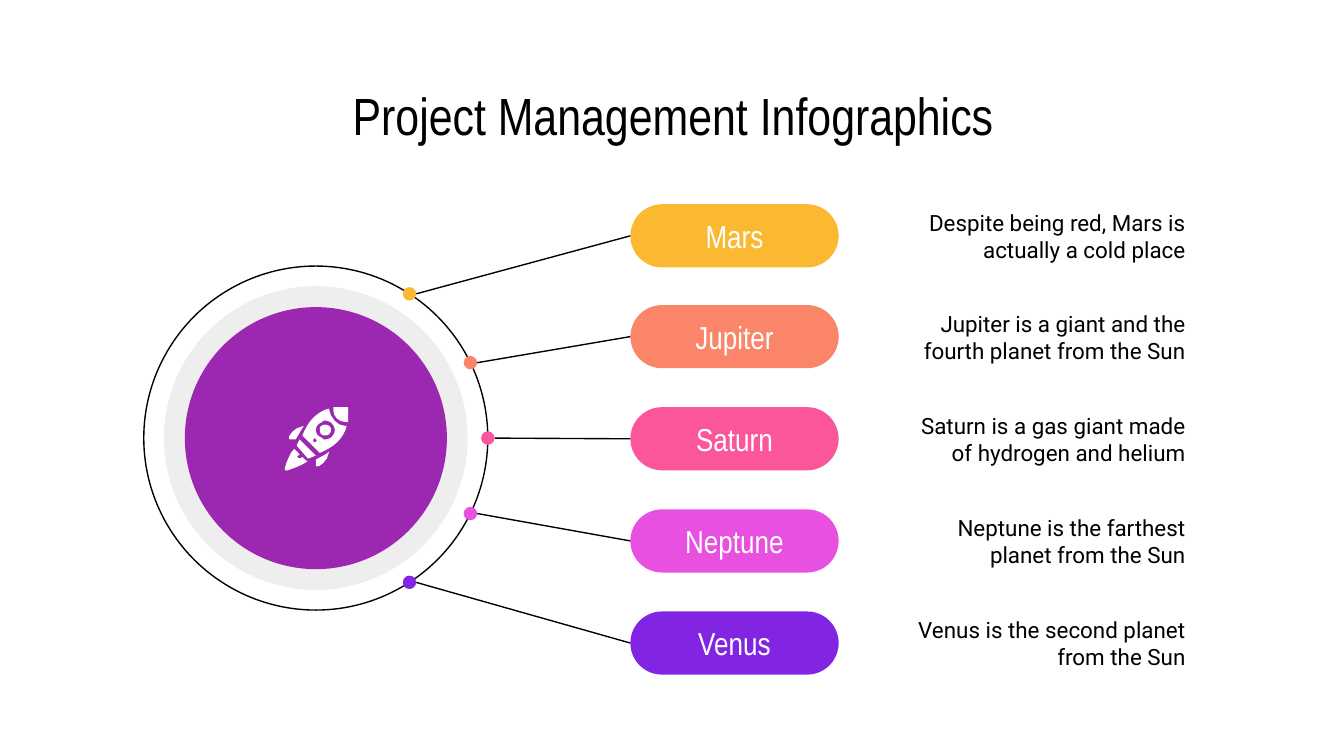
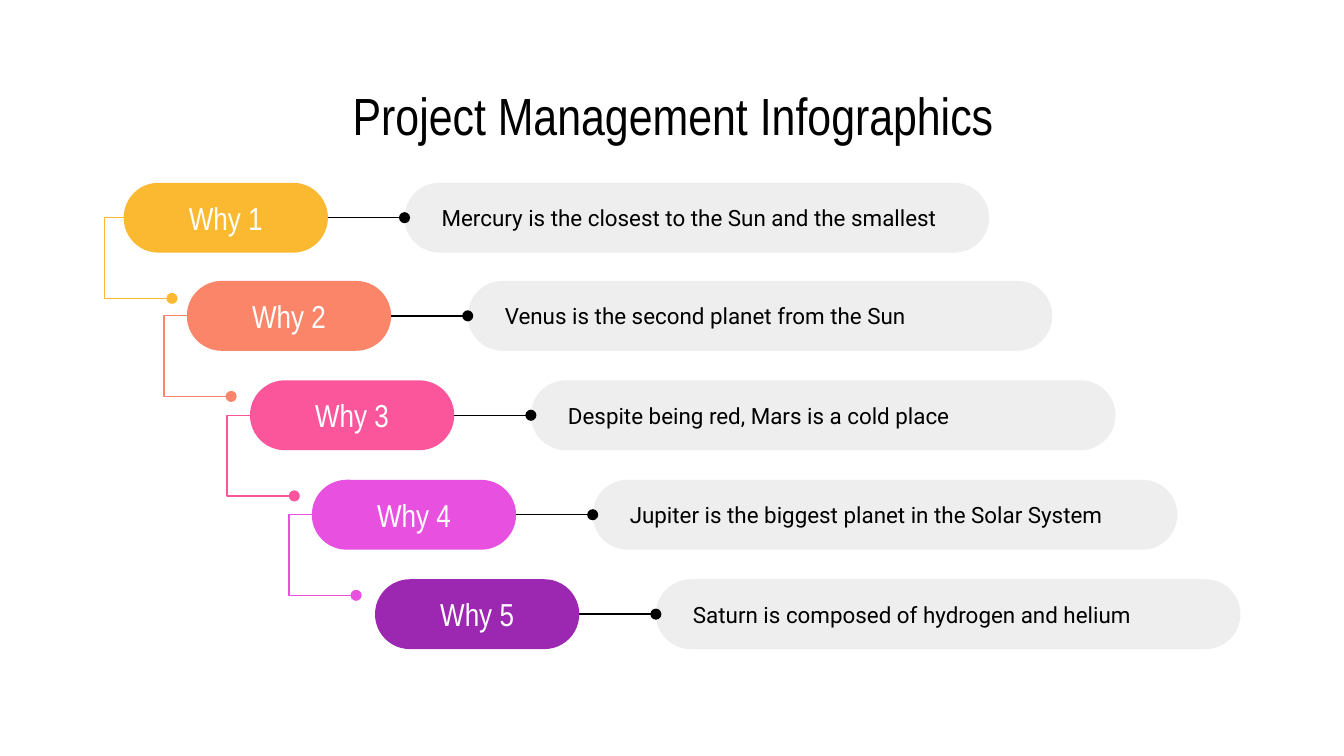
from math import cos, radians, sin

from lxml.etree import SubElement
from pptx import Presentation
from pptx.dml.color import RGBColor as Rgb
from pptx.enum.shapes import MSO_CONNECTOR as Link, MSO_SHAPE as Kind
from pptx.enum.text import MSO_ANCHOR as Anchor, PP_ALIGN as Align
from pptx.oxml.ns import qn
from pptx.util import Pt

PX = 9144
WIDE = 1000
HEAD, BODY = "Arial Narrow", "Roboto"
BLACK, WHITE = Rgb(0, 0, 0), Rgb(255, 255, 255)
GRAY = Rgb(0xEE, 0xEE, 0xEE)
GOLD = Rgb(0xFB, 0xB8, 0x31)
CORAL = Rgb(0xFB, 0x85, 0x69)
ROSE = Rgb(0xFB, 0x56, 0x9C)
PINK = Rgb(0xE8, 0x50, 0xE0)
VIOLET = Rgb(0x82, 0x25, 0xE2)
PURPLE = Rgb(0x9C, 0x27, 0xB0)
TITLE = "Project Management Infographics"

PLANETS = [
    ("Mars", "Despite being red, Mars is actually a cold place", GOLD, -57),
    ("Jupiter", "Jupiter is a giant and the fourth planet from the Sun", CORAL, -26),
    ("Saturn", "Saturn is a gas giant made of hydrogen and helium", ROSE, 0),
    ("Neptune", "Neptune is the farthest planet from the Sun", PINK, 26),
    ("Venus", "Venus is the second planet from the Sun", VIOLET, 57),
]
WHYS = [
    ("Mercury is the closest to the Sun and the smallest", GOLD),
    ("Venus is the second planet from the Sun", CORAL),
    ("Despite being red, Mars is a cold place", ROSE),
    ("Jupiter is the biggest planet in the Solar System", PINK),
    ("Saturn is composed of hydrogen and helium", PURPLE),
]

BAND = [(11, 24), (9, 28), (9, 29, 9, 29, 10, 30), (17, 38), (18, 38), (23, 36)]
NOSE = [(44, 0), (41, 0, 39, 0, 36, 0), (36, 2), (36, 7, 40, 11, 45, 11),
        (47, 11), (47, 8, 47, 5, 47, 1), (47, 0, 47, 0, 46, 0)]
PANE = [(30, 13), (28, 13, 27, 14, 26, 15), (26, 17, 26, 19, 27, 20),
        (28, 21, 29, 21, 30, 21), (31, 21, 32, 21, 33, 20),
        (34, 19, 35, 17, 34, 15), (33, 14, 32, 13, 30, 13)]
HULL = [(33, 1), (29, 2, 25, 4, 21, 8), (18, 11, 15, 16, 13, 21), (26, 34),
        (31, 32, 36, 29, 39, 26), (43, 22, 45, 18, 46, 14), (45, 14),
        (39, 14, 34, 8, 33, 2)]
PORT = [(30, 10), (32, 10, 34, 11, 35, 12), (38, 15, 38, 19, 35, 22),
        (34, 23, 32, 24, 30, 24), (29, 24, 28, 24, 28, 23),
        (25, 22, 23, 20, 23, 17), (23, 14, 25, 12, 28, 11),
        (28, 10, 29, 10, 30, 10)]
RIVET = [(22, 23), (23, 23, 23, 24, 23, 24), (24, 24, 24, 25, 23, 26),
         (22, 26), (22, 26, 21, 26, 21, 25), (21, 24, 22, 23, 22, 23)]
FIN = [(33, 33), (30, 36, 26, 37, 23, 39), (23, 41, 23, 43, 23, 43),
       (23, 44, 24, 44, 24, 44), (25, 44), (25, 44, 32, 41, 33, 33)]
WING = [(14, 14), (6, 15, 3, 22, 3, 22), (3, 23), (3, 24, 4, 24, 4, 24),
        (8, 24), (10, 21, 12, 17, 14, 14)]
FLAME = [(7, 31), (4, 33, 1, 42, 0, 45), (0, 46, 0, 46, 0, 47), (2, 47),
         (5, 46, 14, 43, 17, 40), (16, 40, 16, 40, 15, 39), (13, 37),
         (12, 38), (11, 38, 11, 38, 10, 38), (9, 37, 9, 36, 10, 36),
         (11, 35), (8, 32)]
ROCKET = [[BAND], [NOSE], [PANE], [HULL, PORT, RIVET], [FIN], [WING], [FLAME]]


def emu(*vals):
    """Turn px lengths into EMU."""
    return [round(v * PX) for v in vals]


def write(shape, text, size, font, color, align, left=10):
    """Put one run of text in a shape, centred in height."""
    frame = shape.text_frame
    frame.word_wrap = True
    frame.vertical_anchor = Anchor.MIDDLE
    frame.margin_left, frame.margin_right = emu(left, 10)
    frame.margin_top, frame.margin_bottom = emu(10, 10)
    para = frame.paragraphs[0]
    para.alignment = align
    run = para.add_run()
    run.text = text
    run.font.size, run.font.name = Pt(size), font
    run.font.color.rgb = color


def label(shapes, box, *style):
    """Add a text box."""
    write(shapes.add_textbox(*emu(*box)), *style)


def paint(shape, fill=None, line=None):
    """Set fill and outline, and drop the shadow."""
    shape.shadow.inherit = False
    if fill is None:
        shape.fill.background()
    else:
        shape.fill.solid()
        shape.fill.fore_color.rgb = fill
    if line is None:
        shape.line.fill.background()
    else:
        shape.line.color.rgb = line
        shape.line.width = Pt(0.75)


def disc(shapes, x, y, size, fill=None, line=None):
    """Add a circle about a centre."""
    box = emu(x - size / 2, y - size / 2, size, size)
    paint(shapes.add_shape(Kind.OVAL, *box), fill, line)


def pill(shapes, box, fill):
    """Add a bar with round ends."""
    shape = shapes.add_shape(Kind.ROUNDED_RECTANGLE, *emu(*box))
    shape.adjustments[0] = 0.5
    paint(shape, fill)
    return shape


def knob(shape):
    """End a line with a dot."""
    SubElement(shape.element.spPr.find(qn("a:ln")), qn("a:tailEnd"), type="oval")


def wire(shapes, start, end):
    """Add a thin black line."""
    line = shapes.add_connector(Link.STRAIGHT, *emu(*start, *end))
    line.line.color.rgb = BLACK
    line.line.width = Pt(0.75)
    SubElement(line.element.spPr, qn("a:effectLst"))
    return line


def trace(ring):
    """Flatten lines and cubic curves into points."""
    pts = [ring[0]]
    for seg in ring[1:]:
        if len(seg) == 2:
            pts.append(seg)
            continue
        knots = [pts[-1], seg[:2], seg[2:4], seg[4:]]
        for t in (0.25, 0.5, 0.75, 1):
            u = 1 - t
            mix = (u ** 3, 3 * u * u * t, 3 * u * t * t, t ** 3)
            pts.append(tuple(sum(m * k[a] for m, k in zip(mix, knots)) for a in (0, 1)))
    return pts


def rocket(shapes, x, y):
    """Draw the rocket icon from its top left corner."""
    for rings in ROCKET:
        pen = None
        for ring in rings:
            pts = [emu(x + a, y + b) for a, b in trace(ring)]
            if pen is None:
                pen = shapes.build_freeform(*pts[0])
            else:
                pen.move_to(*pts[0])
            pen.add_line_segments(pts[1:], close=True)
        paint(pen.convert_to_shape(), WHITE)


def start(deck):
    """Add a blank slide with the shared title."""
    shapes = deck.slides.add_slide(deck.slide_layouts[6]).shapes
    label(shapes, (78, 59, 845, 53), TITLE, 28, HEAD, BLACK, Align.CENTER)
    return shapes


def orbit(shapes, x, y, size):
    """Draw the ringed disc with five planets wired to it."""
    cx, cy = x + size / 2, y + size / 2
    disc(shapes, cx, cy, size, line=BLACK)
    disc(shapes, cx, cy, size - 30, GRAY)
    disc(shapes, cx, cy, size - 61, PURPLE)
    rocket(shapes, x + 105, y + 105)
    for i, (name, fact, color, deg) in enumerate(PLANETS):
        left, top = x + 362, y - 46 + i * 303 // 4
        tag = pill(shapes, (left, top, 155, 47), color)
        write(tag, name, 17, HEAD, WHITE, Align.CENTER)
        dx = cx + size / 2 * cos(radians(deg))
        dy = cy + size / 2 * sin(radians(deg))
        wire(shapes, (left, top + 23.5), (dx + 5, dy)).begin_connect(tag, 1)
        disc(shapes, dx, dy, 10, color)
        label(shapes, (left + 196, top - 9, 227, 65), fact, 12, BODY, BLACK, Align.RIGHT)


def elbow(shapes, x, y, color):
    """Draw the bent line that leads to the next step."""
    pen = shapes.build_freeform(*emu(x + 17, y))
    pen.add_line_segments([emu(x + a, y + b) for a, b in ((0, 0), (0, 60), (50, 60))], close=False)
    shape = pen.convert_to_shape()
    paint(shape, line=color)
    knob(shape)


def step(shapes, x, y, name, fact, color):
    """Draw one why with its answer."""
    tag = pill(shapes, (x, y, 152, 52), color)
    write(tag, name, 17, HEAD, WHITE, Align.CENTER)
    bar = pill(shapes, (x + 209, y, 435, 52), GRAY)
    write(bar, fact, 12, BODY, BLACK, Align.LEFT, 20)
    line = wire(shapes, (x + 152, y + 26), (x + 209, y + 26))
    line.begin_connect(tag, 3)
    line.end_connect(bar, 1)
    knob(line)


def stairs(shapes, x, y):
    """Draw the five whys as a staircase."""
    for i, (fact, color) in enumerate(WHYS):
        left, top = x + (i * 187 + 2) // 4, y + i * 295 // 4
        row = shapes.add_group_shape().shapes
        if i < len(WHYS) - 1:
            elbow(row, left - (17 if i else 14), top + 26, color)
        step(row, left, top, f"Why {i + 1}", fact, color)


def main():
    """Build the deck."""
    deck = Presentation()
    deck.slide_width = WIDE * PX
    deck.slide_height = WIDE * PX * 9 // 16
    orbit(start(deck), 107, 198, 256)
    stairs(start(deck), 92, 136)
    deck.save("out.pptx")


if __name__ == "__main__":
    main()
